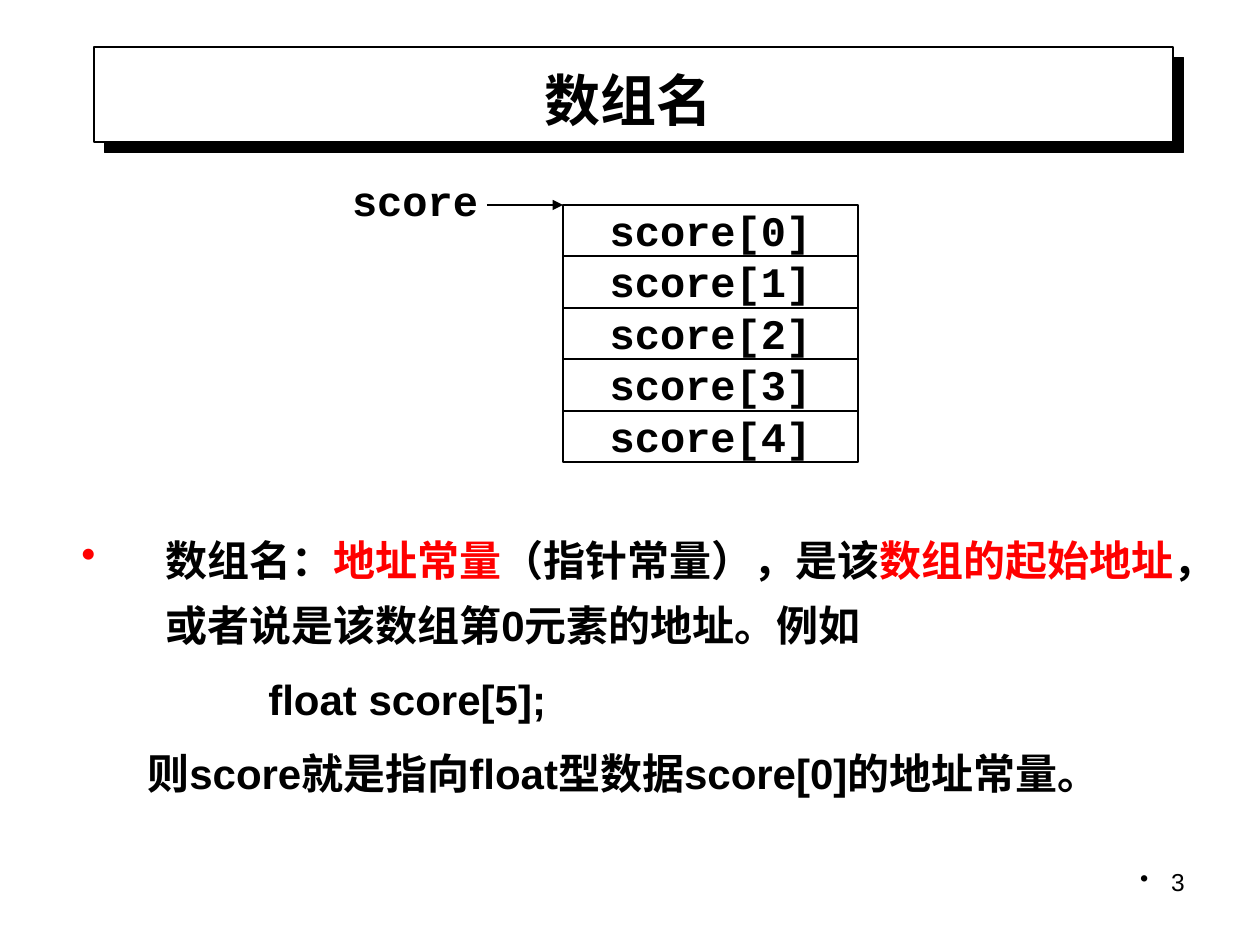
import pptx
import pptx.dml.color
import pptx.enum.shapes
import pptx.enum.text
import pptx.util
from lxml import etree
from pptx.oxml.ns import qn

EMU_PER_PX = 914400 / 126
BLACK, WHITE, RED = "000000", "FFFFFF", "FF0000"
ALIGN = pptx.enum.text.PP_ALIGN
ANCHOR = pptx.enum.text.MSO_ANCHOR


def px(length):
    return pptx.util.Emu(round(length * EMU_PER_PX))


def rgb(hex_color):
    return pptx.dml.color.RGBColor.from_string(hex_color)


def place(shape, left, top, width, height):
    shape.left, shape.top = px(left), px(top)
    shape.width, shape.height = px(width), px(height)


def set_bullet(paragraph, color):
    properties = paragraph._p.get_or_add_pPr()
    bullet_color = etree.SubElement(properties, qn("a:buClr"))
    etree.SubElement(bullet_color, qn("a:srgbClr"), val=color)
    etree.SubElement(properties, qn("a:buChar"), char="•")


def write(paragraph, *parts, size=24, font="Arial", bold=True,
          align=ALIGN.LEFT, line_spacing=None, space_before=0,
          margin=0, indent=0, bullet=None):
    """Fill a paragraph with (text, colour) parts; margin and indent are in px."""
    paragraph.alignment = align
    paragraph.line_spacing = line_spacing
    paragraph.space_before = pptx.util.Pt(space_before)
    properties = paragraph._p.get_or_add_pPr()
    properties.set("marL", str(px(margin)))
    properties.set("indent", str(px(indent)))
    if bullet:
        set_bullet(paragraph, bullet)
    for text, color in parts:
        run = paragraph.add_run()
        run.text = text
        run.font.name = font
        run.font.size = pptx.util.Pt(size)
        run.font.bold = bold
        run.font.color.rgb = rgb(color)


def add_box(slide, left, top, width, height, outlined=True):
    box = slide.shapes.add_shape(pptx.enum.shapes.MSO_SHAPE.RECTANGLE,
                                 px(left), px(top), px(width), px(height))
    box.shadow.inherit = False
    box.fill.solid()
    box.fill.fore_color.rgb = rgb(WHITE)
    if outlined:
        box.line.color.rgb = rgb(BLACK)
        box.line.width = pptx.util.Pt(0.75)
    else:
        box.line.fill.background()
    return box


def add_code_box(slide, text, *bounds, align=ALIGN.CENTER, outlined=True):
    frame = add_box(slide, *bounds, outlined=outlined).text_frame
    frame.margin_left = frame.margin_right = 0
    frame.margin_top = frame.margin_bottom = 0
    frame.vertical_anchor = ANCHOR.TOP
    write(frame.paragraphs[0], (text, BLACK), font="Courier New", align=align)


def add_text_frame(slide, *bounds):
    frame = slide.shapes.add_textbox(*map(px, bounds)).text_frame
    frame.word_wrap = True
    return frame


def add_arrow(slide, start, end):
    arrow = slide.shapes.add_connector(pptx.enum.shapes.MSO_CONNECTOR.STRAIGHT,
                                       *map(px, start + end))
    arrow.line.color.rgb = rgb(BLACK)
    arrow.line.width = pptx.util.Pt(0.75)
    etree.SubElement(arrow.line._get_or_add_ln(), qn("a:tailEnd"), type="triangle")
    etree.SubElement(arrow.element.spPr, qn("a:effectLst"))


def add_title(slide, text):
    """Put the title on a white panel with a hard black shadow."""
    panel = add_box(slide, 94, 47, 1079, 95)
    effects = panel.element.spPr.find(qn("a:effectLst"))
    shadow = etree.SubElement(effects, qn("a:outerShdw"), algn="ctr", rotWithShape="0",
                              dist=str(pptx.util.Pt(8.5)), dir=str(45 * 60000))
    etree.SubElement(shadow, qn("a:srgbClr"), val=BLACK)

    title = slide.shapes.title
    title.element.addprevious(panel.element)
    place(title, 94, 55, 1081, 89)
    title.text_frame.vertical_anchor = ANCHOR.MIDDLE
    write(title.text_frame.paragraphs[0], (text, BLACK), size=32, align=ALIGN.CENTER)


def add_array_diagram(slide, name, count):
    left, top, width, height = 563, 205, 295, 257
    add_code_box(slide, name, 352, 175, 135, 51, align=ALIGN.JUSTIFY, outlined=False)
    edges = [top + round(height * index / count) for index in range(count + 1)]
    for index, (upper, lower) in enumerate(zip(edges, edges[1:])):
        add_code_box(slide, f"{name}[{index}]", left, upper, width, lower - upper)
    add_arrow(slide, (487, top), (left, top))


def add_explanation(slide):
    frame = add_text_frame(slide, 69, 513, 1137, 387)
    write(frame.paragraphs[0],
          ("数组名：", BLACK), ("地址常量", RED),
          ("（指针常量），是该", BLACK), ("数组的起始地址", RED),
          ("，或者说是该数组第0元素的地址。例如", BLACK),
          margin=84, indent=-84, line_spacing=1.3, bullet=RED)
    for text, margin in (("float score[5];", 187),
                         ("则score就是指向float型数据score[0]的地址常量。", 66)):
        write(frame.add_paragraph(), (text, BLACK),
              margin=margin, line_spacing=1.3, space_before=4.8)


def add_page_number(slide, number):
    frame = add_text_frame(slide, 903, 861, 294, 66)
    write(frame.paragraphs[0], (number, BLACK), size=14, bold=False,
          align=ALIGN.RIGHT, margin=31, indent=-31, bullet=BLACK)


def main():
    presentation = pptx.Presentation()
    presentation.slide_width = px(1260)
    presentation.slide_height = px(945)
    slide = presentation.slides.add_slide(presentation.slide_layouts[5])
    add_title(slide, "数组名 ")
    add_page_number(slide, "3")
    add_explanation(slide)
    add_array_diagram(slide, "score", 5)
    presentation.save("out.pptx")


if __name__ == "__main__":
    main()
